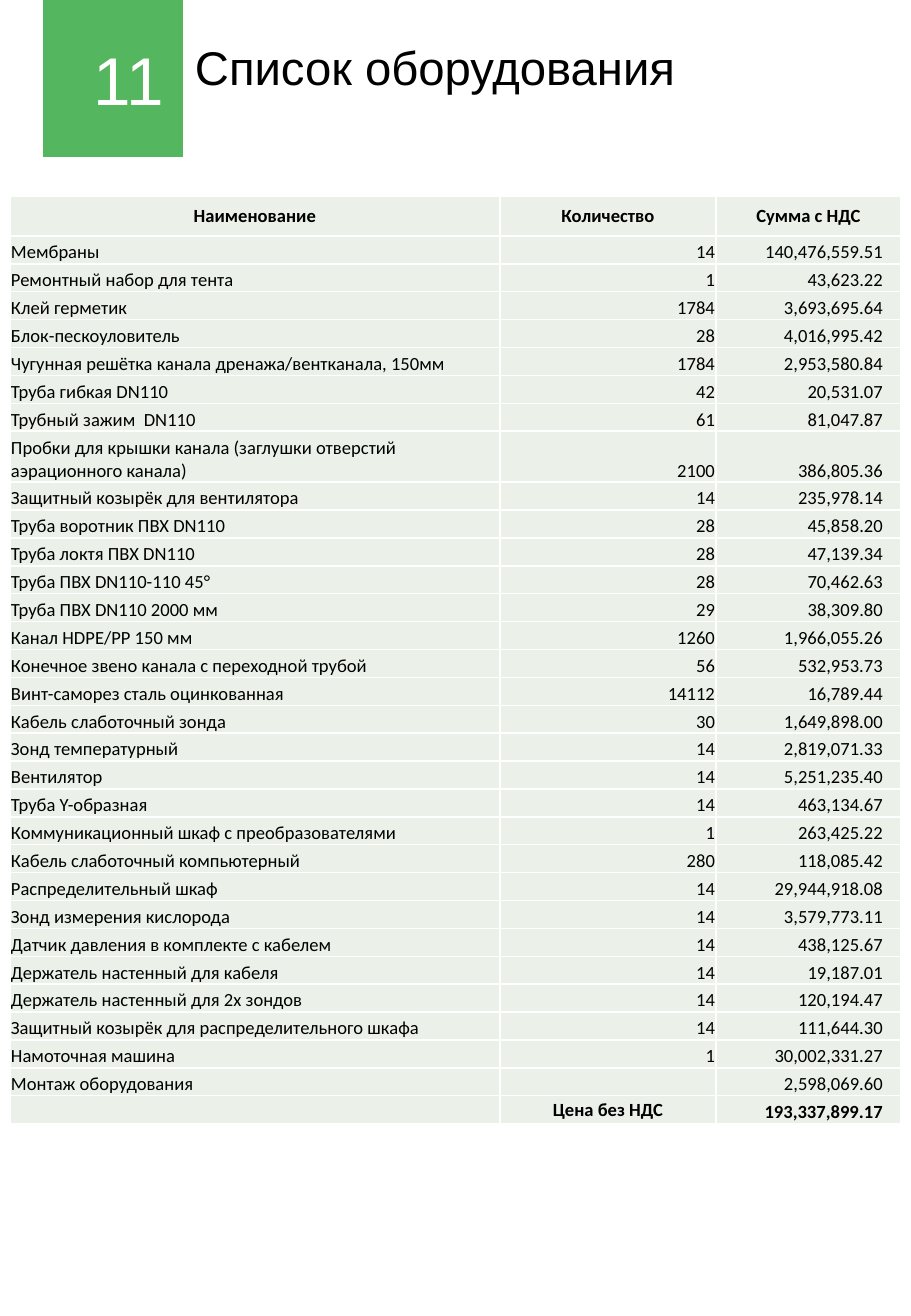
import pptx
import pptx.util
import pptx.dml.color
import pptx.enum.shapes
import pptx.enum.text
import pptx.oxml.ns
import lxml.etree

RGB = pptx.dml.color.RGBColor
ALIGN = pptx.enum.text.PP_ALIGN
ANCHOR = pptx.enum.text.MSO_ANCHOR
qn = pptx.oxml.ns.qn

GREEN = RGB(0x3A, 0xAA, 0x47)
PALE = RGB(0xEB, 0xF1, 0xE9)
WHITE = RGB(0xFF, 0xFF, 0xFF)
BLACK = RGB(0x00, 0x00, 0x00)

NUMBER = "11"
TITLE = "Список оборудования"
HEADER = ("Наименование", "Количество", "Сумма с НДС")
ITEMS = [
    ("Мембраны", "14", "140,476,559.51"),
    ("Ремонтный набор для тента", "1", "43,623.22"),
    ("Клей герметик", "1784", "3,693,695.64"),
    ("Блок-пескоуловитель", "28", "4,016,995.42"),
    ("Чугунная решётка канала дренажа/вентканала, 150мм", "1784", "2,953,580.84"),
    ("Труба гибкая DN110", "42", "20,531.07"),
    ("Трубный зажим  DN110", "61", "81,047.87"),
    ("Пробки для крышки канала (заглушки отверстий аэрационного канала)", "2100", "386,805.36"),
    ("Защитный козырёк для вентилятора", "14", "235,978.14"),
    ("Труба воротник ПВХ DN110", "28", "45,858.20"),
    ("Труба локтя ПВХ DN110", "28", "47,139.34"),
    ("Труба ПВХ DN110-110 45°", "28", "70,462.63"),
    ("Труба ПВХ DN110 2000 мм", "29", "38,309.80"),
    ("Канал HDPE/PP 150 мм", "1260", "1,966,055.26"),
    ("Конечное звено канала с переходной трубой", "56", "532,953.73"),
    ("Винт-саморез сталь оцинкованная", "14112", "16,789.44"),
    ("Кабель слаботочный зонда", "30", "1,649,898.00"),
    ("Зонд температурный", "14", "2,819,071.33"),
    ("Вентилятор", "14", "5,251,235.40"),
    ("Труба Y-образная", "14", "463,134.67"),
    ("Коммуникационный шкаф с преобразователями", "1", "263,425.22"),
    ("Кабель слаботочный компьютерный", "280", "118,085.42"),
    ("Распределительный шкаф", "14", "29,944,918.08"),
    ("Зонд измерения кислорода", "14", "3,579,773.11"),
    ("Датчик давления в комплекте с кабелем", "14", "438,125.67"),
    ("Держатель настенный для кабеля", "14", "19,187.01"),
    ("Держатель настенный для 2х зондов", "14", "120,194.47"),
    ("Защитный козырёк для распределительного шкафа", "14", "111,644.30"),
    ("Намоточная машина", "1", "30,002,331.27"),
    ("Монтаж оборудования", "", "2,598,069.60"),
]
TOTAL = ("", "Цена без НДС", "193,337,899.17")

SLIDE_W, SLIDE_H = 911, 1316
TABLE_X, TABLE_Y, TABLE_H = 10, 196, 928
COL_W = (490, 216, 185)
HEADER_H, TALL_H = 40, 51
TALL_ROW = 8
AMOUNT_INSET = 18


def px(n):
    return pptx.util.Emu(round(n * 914400 / 121.5))


def put_text(tf, text, size=11, font="Calibri", color=BLACK, bold=False, align=ALIGN.LEFT):
    p = tf.paragraphs[0]
    p.alignment = align
    if not text:
        lxml.etree.SubElement(p._p, qn("a:endParaRPr"), sz=str(size * 100))
        return
    r = p.add_run()
    r.text = text
    r.font.size = pptx.util.Pt(size)
    r.font.name = font
    r.font.bold = bold
    r.font.color.rgb = color


def add_label(s, box, text, **fmt):
    tf = s.shapes.add_textbox(*map(px, box)).text_frame
    tf.word_wrap = True
    put_text(tf, text, font="Arial", **fmt)


def style_cell(cell, inset_right):
    tcPr = cell._tc.get_or_add_tcPr()
    for side in ("a:lnL", "a:lnR", "a:lnT", "a:lnB"):
        ln = lxml.etree.SubElement(tcPr, qn(side), w="12700")
        fill = lxml.etree.SubElement(ln, qn("a:solidFill"))
        lxml.etree.SubElement(fill, qn("a:srgbClr"), val=str(WHITE))
    cell.fill.solid()
    cell.fill.fore_color.rgb = PALE
    cell.margin_left = cell.margin_top = px(1)
    cell.margin_bottom = 0
    cell.margin_right = px(inset_right)


def add_equipment_table(s):
    rows = [HEADER, *ITEMS, TOTAL]
    last = len(rows) - 1
    item_h = (TABLE_H - HEADER_H - TALL_H) / (len(rows) - 2)
    heights = {0: HEADER_H, TALL_ROW: TALL_H}
    table = s.shapes.add_table(len(rows), len(COL_W), px(TABLE_X), px(TABLE_Y),
                               px(sum(COL_W)), px(TABLE_H)).table
    for col, width in zip(table.columns, COL_W):
        col.width = px(width)
    for i, row in enumerate(rows):
        table.rows[i].height = px(heights.get(i, item_h))
        for j, text in enumerate(row):
            cell = table.cell(i, j)
            centred = i == 0 or (i == last and j == 1)
            align = ALIGN.CENTER if centred else ALIGN.RIGHT if j else ALIGN.LEFT
            style_cell(cell, AMOUNT_INSET if j == 2 and i else 1)
            cell.vertical_anchor = ANCHOR.MIDDLE if centred else ANCHOR.BOTTOM
            put_text(cell.text_frame, text, bold=i in (0, last), align=align)


def main():
    prs = pptx.Presentation()
    prs.slide_width, prs.slide_height = px(SLIDE_W), px(SLIDE_H)
    s = prs.slides.add_slide(prs.slide_layouts[6])

    sp = s.shapes.add_shape(pptx.enum.shapes.MSO_SHAPE.RECTANGLE, *map(px, (43, 0, 140, 157)))
    sp.shadow.inherit = False
    sp.line.fill.background()
    sp.fill.solid()
    sp.fill.fore_color.rgb = GREEN
    clr = sp._element.spPr.find(qn("a:solidFill")).find(qn("a:srgbClr"))
    lxml.etree.SubElement(clr, qn("a:alpha"), val="86000")

    add_label(s, (82, 32, 102, 94), NUMBER, size=40, color=WHITE)
    add_label(s, (183, 32, 595, 69), TITLE, size=28)
    add_equipment_table(s)
    prs.save("out.pptx")


if __name__ == "__main__":
    main()
